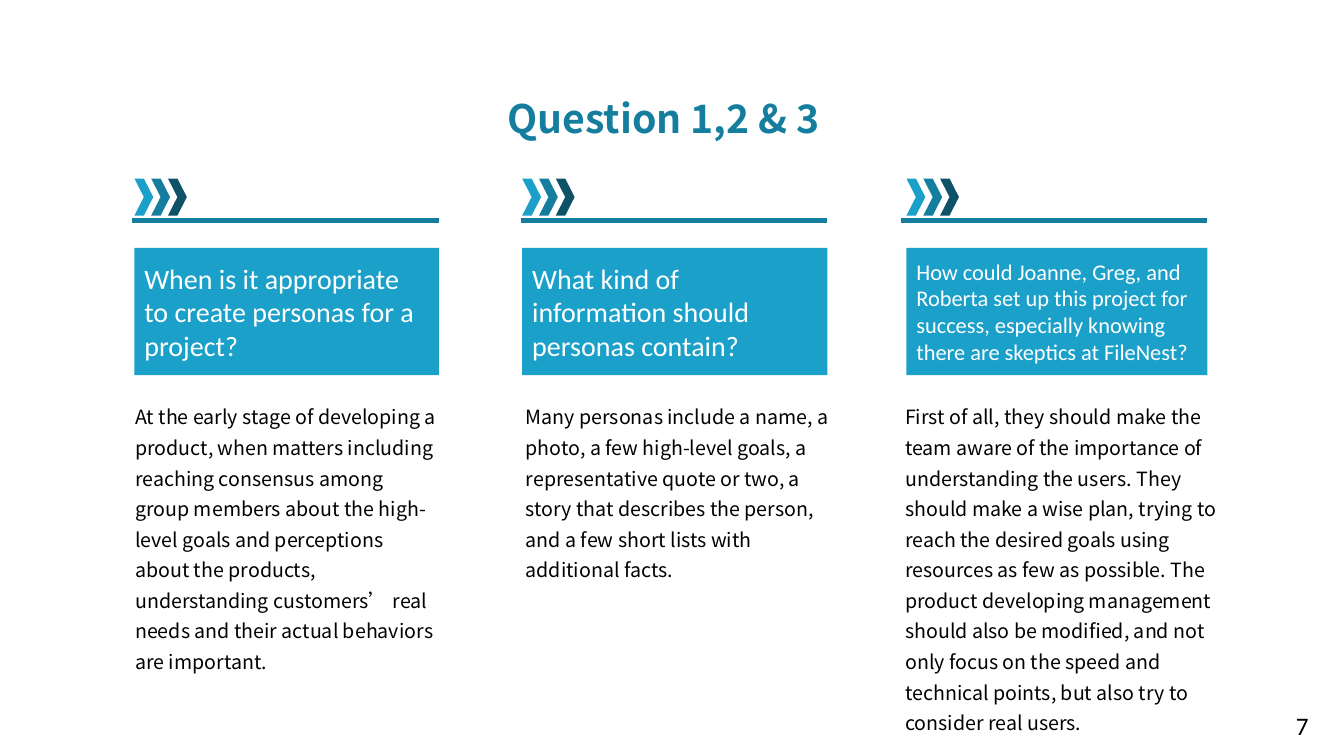
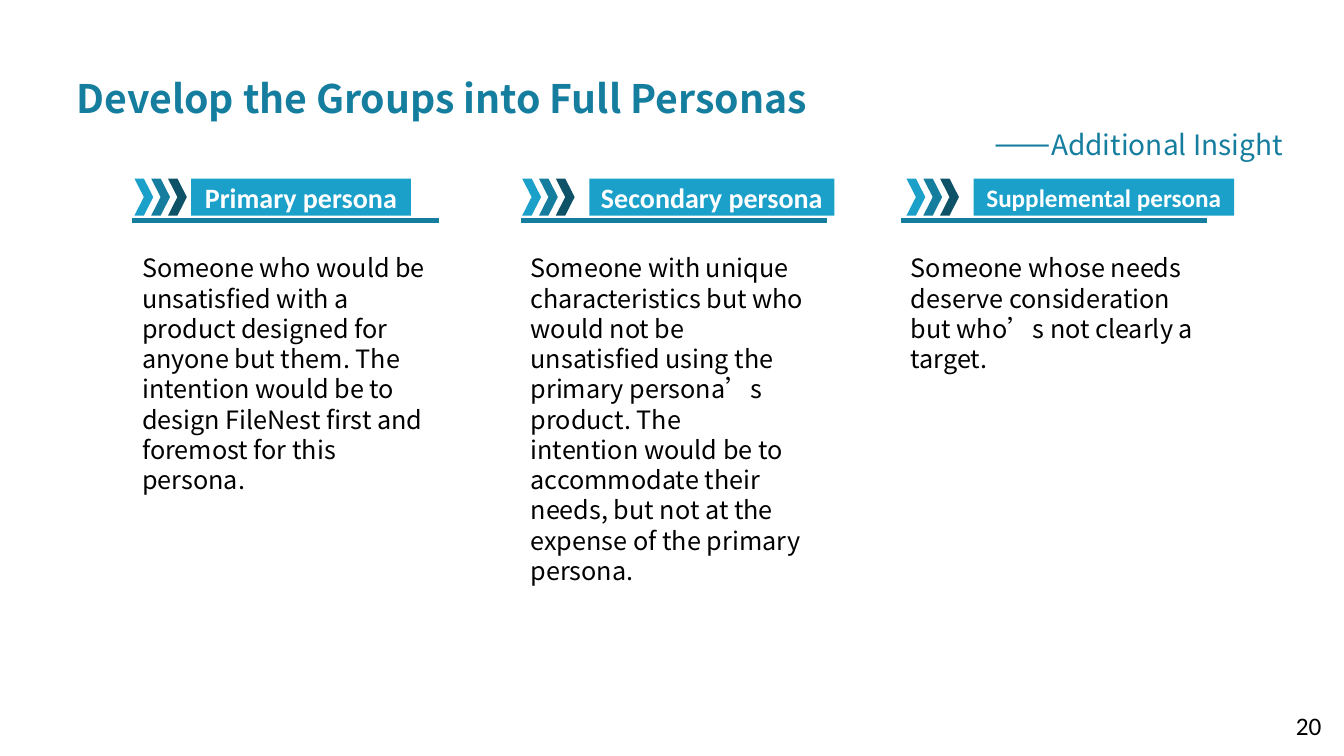
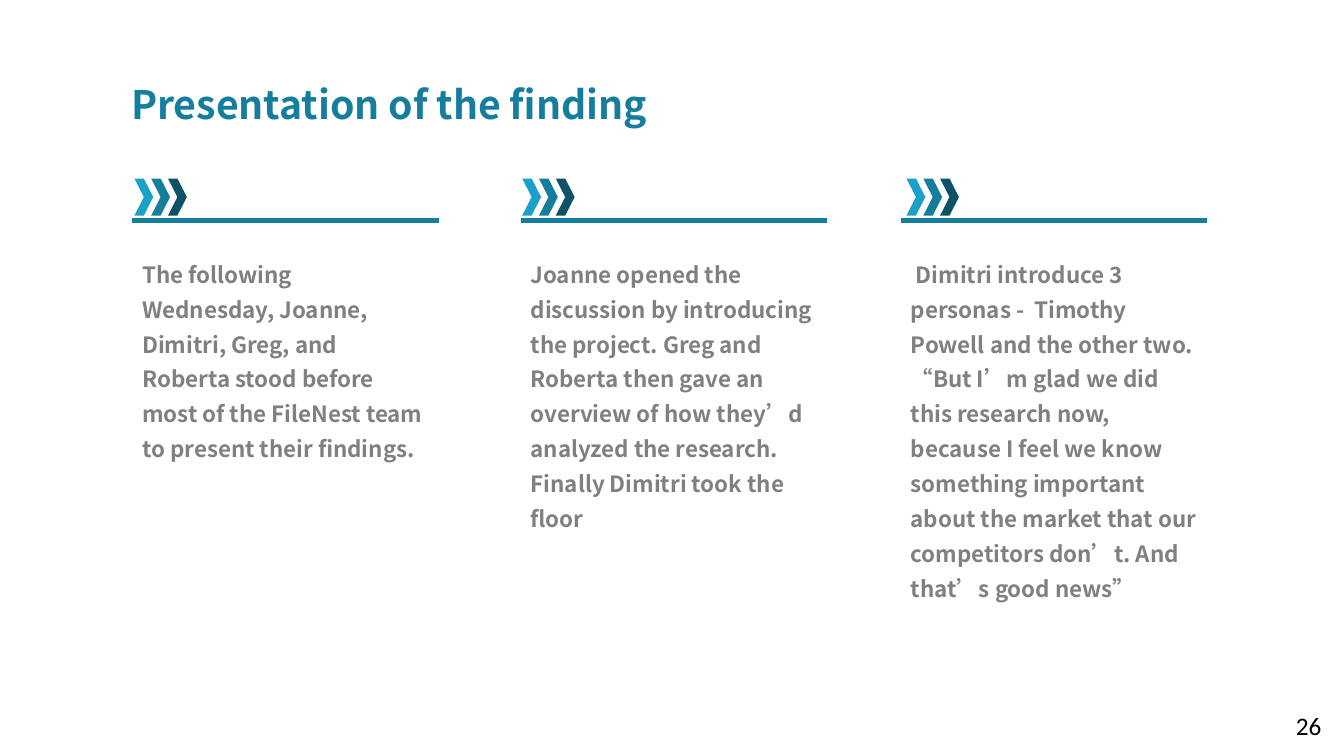
from dataclasses import dataclass

from lxml.etree import SubElement
from pptx import Presentation
from pptx.dml.color import RGBColor
from pptx.enum.shapes import MSO_CONNECTOR as Connector, MSO_SHAPE as Shape
from pptx.enum.text import MSO_ANCHOR as Anchor, MSO_AUTO_SIZE as AutoSize, PP_ALIGN as Align
from pptx.oxml.ns import qn
from pptx.util import Pt


@dataclass(frozen=True)
class Theme:
    bright: str = "1BA0C9"
    medium: str = "157E9F"
    dark: str = "0D5267"
    white: str = "FFFFFF"
    black: str = "000000"
    gray: str = "808080"
    heading_font: str = "Noto Sans CJK SC"
    label_font: str = "Calibri"
    title_size: int = 28
    dash_size: int = 24
    large: int = 20
    medium_size: int = 18
    small: int = 16
    body_size: int = 14


theme = Theme()
RULE_LEFTS = (94.5, 372, 643.5)
CHEVRON_LEFTS = (96, 373, 647.5)
RULE_WIDTH = 219
RULE_TOP = 157.5
BAND_TOP, BAND_HEIGHT = 127.5, 26.5
CHEVRON_WIDTH, CHEVRON_STEP = 13.5, 12
CARD_TOP, CARD_HEIGHT = 177, 91


def write_text(shape, lines, size, color, font=theme.heading_font, bold=False,
               align=Align.LEFT, spacing=1, anchor=Anchor.TOP, auto_size=AutoSize.SHAPE_TO_FIT_TEXT):
    """Fill a shape with one paragraph per line, all in the same style."""
    frame = shape.text_frame
    frame.word_wrap = True
    frame.auto_size = auto_size
    frame.vertical_anchor = anchor
    frame.text = "\n".join(lines)
    for para in frame.paragraphs:
        para.alignment = align
        para.line_spacing = spacing
        para.font.name = font
        para.font.size = Pt(size)
        para.font.bold = bold
        para.font.color.rgb = RGBColor.from_string(color)


def add_block(page, preset, left, top, width, height, color):
    block = page.shapes.add_shape(preset, Pt(left), Pt(top), Pt(width), Pt(height))
    block.shadow.inherit = False
    block.fill.solid()
    block.fill.fore_color.rgb = RGBColor.from_string(color)
    block.line.fill.background()
    return block


deck = Presentation()
deck.slide_width, deck.slide_height = Pt(960), Pt(540)

# Title, its box and alignment, and the page number of each slide
slide_heads = [
    ("Question 1,2 & 3", (347, 63.5, 254, 41), Align.CENTER, "7"),
    ("Develop the Groups into Full Personas", (47.5, 49.5, 876, 70.5), Align.LEFT, "20"),
    ("Presentation of the finding", (86.5, 53.5, 467, 41), Align.LEFT, "26"),
]
pages = []
for title_text, title_box, title_align, number in slide_heads:
    page = deck.slides.add_slide(deck.slide_layouts[5])
    pages.append(page)
    title = page.shapes.title
    title.left, title.top, title.width, title.height = map(Pt, title_box)
    write_text(title, [title_text], theme.title_size, theme.medium, bold=True, align=title_align)

    for rule_left, chevron_left in zip(RULE_LEFTS, CHEVRON_LEFTS):
        rule = page.shapes.add_connector(
            Connector.STRAIGHT, Pt(rule_left), Pt(RULE_TOP), Pt(rule_left + RULE_WIDTH), Pt(RULE_TOP))
        rule.line.width = Pt(3)
        rule.line.color.rgb = RGBColor.from_string(theme.medium)
        SubElement(rule._element.spPr, qn("a:effectLst"))
        for step, color in enumerate((theme.bright, theme.medium, theme.dark)):
            add_block(page, Shape.CHEVRON, chevron_left + step * CHEVRON_STEP, BAND_TOP,
                      CHEVRON_WIDTH, BAND_HEIGHT, color)

    number_box = page.shapes.add_textbox(Pt(918.5), Pt(504), Pt(41), Pt(29))
    write_text(number_box, [number], theme.medium_size, theme.black, theme.label_font)

question_page, persona_page, finding_page = pages

# Questions and answers
questions = [
    ("When is it appropriate to create personas for a project?", theme.large, 89.5, 230.5,
     "At the early stage of developing a product, when matters including reaching consensus among "
     "group members about the high-level goals and perceptions about the products, understanding "
     "customers’ real needs and their actual behaviors are important."),
    ("What kind of information should personas contain?", theme.large, 368.5, 232.5,
     "Many personas include a name, a photo, a few high-level goals, a representative quote or two, "
     "a story that describes the person, and a few short lists with additional facts."),
    ("How could Joanne, Greg, and Roberta set up this project for success, especially knowing "
     "there are skeptics at FileNest?", theme.small, 639.5, 252,
     "First of all, they should make the team aware of the importance of understanding the users. "
     "They should make a wise plan, trying to reach the desired goals using resources as few as "
     "possible. The product developing management should also be modified, and not only focus on "
     "the speed and technical points, but also try to consider real users."),
]
for rule_left, card_left, (question, size, left, width, answer) in zip(RULE_LEFTS, CHEVRON_LEFTS, questions):
    card = add_block(question_page, Shape.RECTANGLE, card_left, CARD_TOP,
                     rule_left + RULE_WIDTH - card_left, CARD_HEIGHT, theme.bright)
    write_text(card, [question], size, theme.white, theme.label_font,
               anchor=Anchor.MIDDLE, auto_size=AutoSize.NONE)
    answer_box = question_page.shapes.add_textbox(Pt(left), Pt(281), Pt(width), Pt(206))
    write_text(answer_box, [answer], theme.body_size, theme.black, spacing=1.3)

# Persona groups
subtitle = persona_page.shapes.title.text_frame.add_paragraph()
subtitle.alignment = Align.RIGHT
subtitle.line_spacing = 1
subtitle.font.name = theme.heading_font
subtitle.font.bold = False
subtitle.font.color.rgb = RGBColor.from_string(theme.medium)
for text, size in (("——", theme.dash_size), ("Additional Insight", theme.large)):
    span = subtitle.add_run()
    span.text = text
    span.font.size = Pt(size)

personas = [
    ("Primary persona", theme.large, 40.5, 157, 224.5,
     ["Someone who would be unsatisfied with a product designed for anyone but them. The intention "
      "would be to design FileNest first and foremost for this persona."]),
    ("Secondary persona", theme.large, 48, 175, RULE_WIDTH,
     ["Someone with unique characteristics but who",
      "would not be unsatisfied using the primary persona’s product. The",
      "intention would be to accommodate their needs, but not at the",
      "expense of the primary persona."]),
    ("Supplemental persona", theme.medium_size, 48, 186, RULE_WIDTH,
     ["Someone whose needs deserve consideration", "but who’s not clearly a target."]),
]
for rule_left, chevron_left, persona in zip(RULE_LEFTS, CHEVRON_LEFTS, personas):
    name, size, offset, tag_width, body_width, description = persona
    tag = add_block(persona_page, Shape.RECTANGLE, chevron_left + offset, BAND_TOP,
                    tag_width, BAND_HEIGHT, theme.bright)
    write_text(tag, [name], size, theme.white, theme.label_font, bold=True, align=Align.CENTER,
               anchor=Anchor.MIDDLE, auto_size=AutoSize.NONE)
    description_box = persona_page.shapes.add_textbox(Pt(rule_left), Pt(CARD_TOP), Pt(body_width), Pt(181))
    write_text(description_box, description, theme.medium_size, theme.black)

# Findings
findings = [
    "The following Wednesday, Joanne, Dimitri, Greg, and Roberta stood before most of the FileNest "
    "team to present their ﬁndings.",
    "Joanne opened the discussion by introducing the project. Greg and Roberta then gave an overview "
    "of how they’d analyzed the research. Finally Dimitri took the ﬂoor",
    " Dimitri introduce 3 personas -  Timothy Powell and the other two. “But I’m glad we did this "
    "research now, because I feel we know something important about the market that our competitors "
    "don’t. And that’s good news”",
]
for rule_left, finding in zip(RULE_LEFTS, findings):
    finding_box = finding_page.shapes.add_textbox(Pt(rule_left), Pt(CARD_TOP), Pt(RULE_WIDTH), Pt(206))
    write_text(finding_box, [finding], theme.small, theme.gray, bold=True, spacing=1.3)

deck.save("out.pptx")
